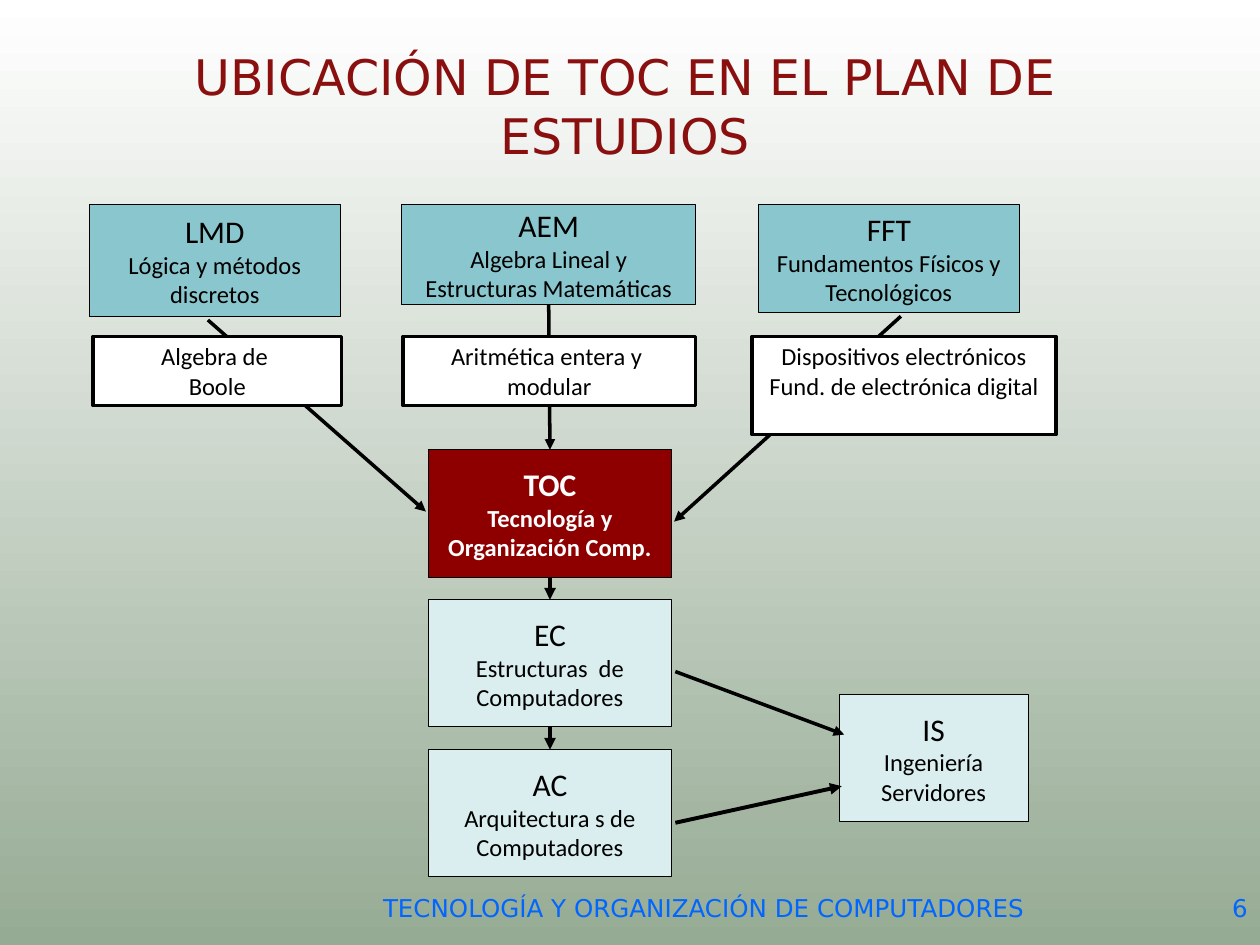
import pptx
import pptx.util
import pptx.dml.color
import pptx.enum.shapes
import pptx.enum.text
import pptx.oxml
import pptx.oxml.ns

Inches = pptx.util.Inches
Pt = pptx.util.Pt
RGB = pptx.dml.color.RGBColor.from_string
ALIGN = pptx.enum.text.PP_ALIGN
ANCHOR = pptx.enum.text.MSO_ANCHOR
RECTANGLE = pptx.enum.shapes.MSO_SHAPE.RECTANGLE
STRAIGHT = pptx.enum.shapes.MSO_CONNECTOR.STRAIGHT

COLORS = {
    "top": "FFFFFF", "bottom": "96AB94", "title": "8A1010", "footer": "0066FF",
    "basis": "8AC6CD", "focus": "8E0000", "later": "DAEDEF",
    "black": "000000", "white": "FFFFFF",
}

deck = pptx.Presentation()
deck.slide_width, deck.slide_height = Inches(10), Inches(7.5)
page = deck.slides.add_slide(deck.slide_layouts[6])

backdrop = page.background.fill
backdrop.gradient()
backdrop.gradient_angle = 270
for stop, name, position in zip(backdrop.gradient_stops, ("top", "bottom"), (0, 1)):
    stop.color.rgb = RGB(COLORS[name])
    stop.position = position


def write_lines(box, lines, sizes, font, color, anchor, inset=(0.1, 0.05), align=ALIGN.CENTER, bold=False):
    frame = box.text_frame
    across, down = map(Inches, inset)
    settings = {
        "word_wrap": True, "vertical_anchor": anchor,
        "margin_left": across, "margin_right": across,
        "margin_top": down, "margin_bottom": down,
    }
    for key, value in settings.items():
        setattr(frame, key, value)
    for index, (line, size) in enumerate(zip(lines, sizes)):
        para = frame.paragraphs[0] if index == 0 else frame.add_paragraph()
        para.alignment = align
        span = para.add_run()
        span.text = line
        for key, value in {"name": font, "size": Pt(size), "bold": bold}.items():
            setattr(span.font, key, value)
        span.font.color.rgb = RGB(COLORS[color])


def add_arrow(start, end, width, source=None, target=None):
    arrow = page.shapes.add_connector(STRAIGHT, *map(Inches, start + end))
    if source is not None:
        arrow.begin_connect(source, 2)
    if target is not None:
        arrow.end_connect(target, 0)
    arrow.line.width = Pt(width)
    arrow.line.color.rgb = RGB(COLORS["black"])
    tip = pptx.oxml.parse_xml('<a:tailEnd %s type="triangle"/>' % pptx.oxml.ns.nsdecls("a"))
    arrow.line._get_or_add_ln().append(tip)
    effects = pptx.oxml.parse_xml("<a:effectLst %s/>" % pptx.oxml.ns.nsdecls("a"))
    arrow._element.spPr.append(effects)


labels = [
    ((0.8, 0.41, 8.32, 0.86), "UBICACIÓN DE TOC EN EL PLAN DE ESTUDIOS", 28, "title", ANCHOR.MIDDLE, ALIGN.CENTER),
    ((2.73, 7.04, 5.71, 0.46), "TECNOLOGÍA Y ORGANIZACIÓN DE COMPUTADORES", 14, "footer", ANCHOR.TOP, ALIGN.CENTER),
    ((8.55, 7.04, 1.45, 0.46), "6", 14, "footer", ANCHOR.TOP, ALIGN.RIGHT),
]
for place, text, size, color, anchor, align in labels:
    box = page.shapes.add_textbox(*map(Inches, place))
    write_lines(box, [text], [size], "DejaVu Sans", color, anchor, align=align)

subjects = [
    ("LMD", "Lógica y métodos discretos", (0.71, 1.62, 1.99, 0.89), "basis"),
    ("AEM", "Algebra Lineal y Estructuras Matemáticas", (3.19, 1.62, 2.33, 0.8), "basis"),
    ("FFT", "Fundamentos Físicos y Tecnológicos", (6.02, 1.62, 2.07, 0.86), "basis"),
    ("TOC", "Tecnología y Organización Comp.", (3.4, 3.57, 1.93, 1.01), "focus"),
    ("EC", "Estructuras  de Computadores", (3.4, 4.76, 1.93, 1.01), "later"),
    ("AC", "Arquitectura s de Computadores", (3.4, 5.95, 1.93, 1.01), "later"),
    ("IS", "Ingeniería Servidores", (6.66, 5.51, 1.5, 1.01), "later"),
]
boxes = {}
for code, name, place, role in subjects:
    box = page.shapes.add_shape(RECTANGLE, *map(Inches, place))
    box.shadow.inherit = False
    box.fill.solid()
    box.fill.fore_color.rgb = RGB(COLORS[role])
    box.line.color.rgb = RGB(COLORS["black"])
    box.line.width = Pt(0.5)
    focus = role == "focus"
    write_lines(box, [code, name], [18, 14], "Calibri", "white" if focus else "black", ANCHOR.MIDDLE, bold=focus)
    boxes[code] = box

add_arrow((1.65, 2.54), (3.38, 4.06), 2)
add_arrow((7.15, 2.51), (5.35, 4.14), 2)
add_arrow((5.36, 5.33), (6.7, 5.83), 2)
add_arrow((5.36, 6.53), (6.68, 6.24), 2.25)
for source, target, width in [("AEM", "TOC", 2), ("TOC", "EC", 2.25), ("EC", "AC", 2.25)]:
    add_arrow((4.36, 2.42), (4.36, 3.57), width, boxes[source], boxes[target])

topics = [
    (("Algebra de ", "Boole"), (0.74, 2.67, 1.97, 0.55)),
    (("Aritmética entera y ", "modular"), (3.2, 2.67, 2.32, 0.55)),
    (("Dispositivos electrónicos", "Fund. de electrónica digital"), (5.97, 2.67, 2.41, 0.78)),
]
for lines, place in topics:
    box = page.shapes.add_shape(RECTANGLE, *map(Inches, place))
    box.shadow.inherit = False
    box.fill.solid()
    box.fill.fore_color.rgb = RGB(COLORS["white"])
    box.line.color.rgb = RGB(COLORS["black"])
    box.line.width = Pt(2)
    write_lines(box, lines, [14, 14], "Calibri", "black", ANCHOR.TOP, inset=(0.04, 0.04))

deck.save("out.pptx")
